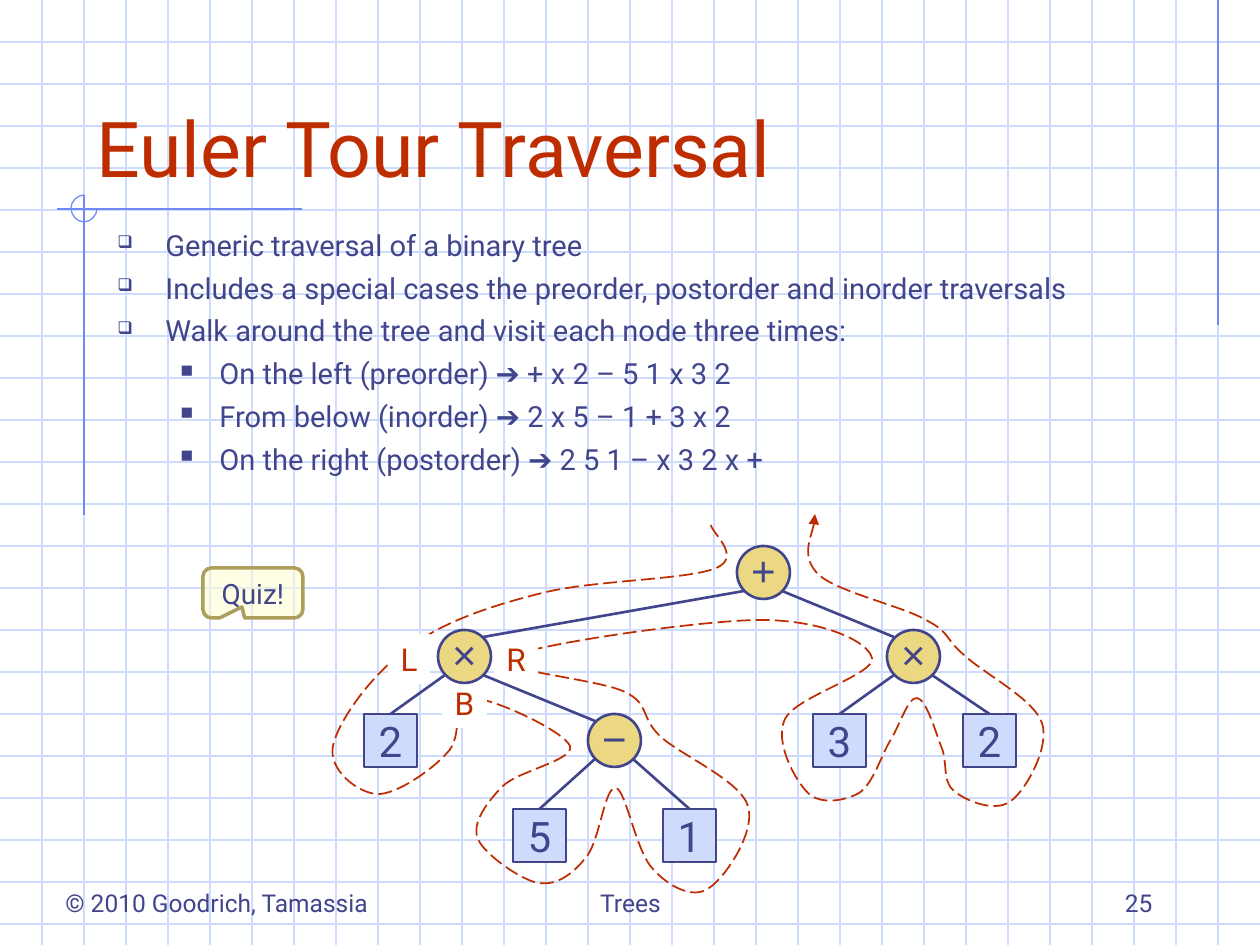
"""Build the Euler tour traversal slide with its expression tree."""
import dataclasses
import typing

import lxml.etree
import pptx
import pptx.dml.color
import pptx.enum.dml
import pptx.enum.shapes
import pptx.enum.text
import pptx.oxml.ns
import pptx.util

EMU_PER_PX = 914400 / 126
WIDTH, HEIGHT, GRID_STEP = 1260, 945, 42
NODE_SIZE, DIAGONAL = 53, 19
ALIGN = pptx.enum.text.PP_ALIGN
ANCHOR = pptx.enum.text.MSO_ANCHOR
SHAPE = pptx.enum.shapes.MSO_SHAPE
Point = tuple[int, int]


@dataclasses.dataclass(frozen=True)
class Theme:
    grid: str = "CFDBFD"
    accent: str = "6F89F7"
    ink: str = "40458C"
    red: str = "BE2D00"
    operator: str = "ECD882"
    quiz: str = "FFFFCC"
    quiz_edge: str = "AD9E5E"
    white: str = "FFFFFF"
    font: str = "Roboto"
    symbol_font: str = "Arial"
    title: float = 44
    body: float = 16.6
    node: float = 24
    visit: float = 18
    callout: float = 16
    footer: float = 14


THEME = Theme()


class Caption(typing.NamedTuple):
    text: str
    box: tuple[int, int, int, int]
    size: float = THEME.footer
    color: str = THEME.ink
    align: ALIGN = ALIGN.LEFT


class Bullet(typing.NamedTuple):
    text: str
    order: str = ""


class TreeNode(typing.NamedTuple):
    text: str
    left: int
    top: int
    leaf: bool = False


ROOT = TreeNode("+", 737, 546)
LEFT_PRODUCT = TreeNode("×", 438, 630)
RIGHT_PRODUCT = TreeNode("×", 887, 630)
DIFFERENCE = TreeNode("−", 588, 714)
TWO = TreeNode("2", 364, 714, True)
FIVE = TreeNode("5", 513, 809, True)
ONE = TreeNode("1", 663, 809, True)
THREE = TreeNode("3", 813, 714, True)
LAST_TWO = TreeNode("2", 963, 714, True)
BACK_NODES = (ROOT, RIGHT_PRODUCT, DIFFERENCE, TWO, FIVE, ONE, THREE, LAST_TWO)
BACK_EDGES = ((ROOT, RIGHT_PRODUCT), (RIGHT_PRODUCT, LAST_TWO), (RIGHT_PRODUCT, THREE),
              (DIFFERENCE, ONE), (DIFFERENCE, FIVE))
FRONT_EDGES = ((ROOT, LEFT_PRODUCT), (LEFT_PRODUCT, TWO), (LEFT_PRODUCT, DIFFERENCE))

CAPTIONS = (
    Caption("Trees", (431, 861, 399, 63), align=ALIGN.CENTER),
    Caption("25", (903, 861, 262, 63), align=ALIGN.RIGHT),
    Caption("Euler Tour Traversal", (84, 42, 1071, 157), THEME.title, THEME.red),
    Caption("© 2010 Goodrich, Tamassia", (53, 861, 346, 63)),
)
BULLETS = (
    Bullet("Generic traversal of a binary tree"),
    Bullet("Includes a special cases the preorder, postorder and inorder traversals"),
    Bullet("Walk around the tree and visit each node three times:"),
    Bullet("On the left (preorder) ", " + x 2 – 5 1 x 3 2"),
    Bullet("From below (inorder) ", " 2 x 5 – 1 + 3 x 2"),
    Bullet("On the right (postorder) ", " 2 5 1 – x 3 2 x +"),
)
VISITS = (("L", (388, 634, 42, 50)), ("B", (442, 678, 45, 50)), ("R", (494, 634, 44, 50)))
ACCENT_LINES = (((1218, 0), (1218, 325)), ((302, 209), (57, 209)), ((84, 195), (84, 515)))
LOOP = ((84, 195), (77, 195), (71, 202), (71, 208), (71, 215), (77, 222), (84, 222),
        (91, 222), (97, 215), (97, 209))
TOUR = (
    (711, 525), (711, 532), (743, 557), (716, 568), (688, 580), (593, 580), (542, 593),
    (490, 606), (442, 622), (407, 649), (372, 674), (338, 721), (333, 746),
    (328, 770), (358, 793), (377, 794), (396, 795), (432, 770), (447, 753),
    (464, 737), (451, 699), (471, 698), (491, 697), (564, 731), (570, 746),
    (575, 760), (518, 771), (503, 786), (488, 801), (471, 823), (478, 839),
    (484, 854), (522, 881), (539, 883), (558, 886), (575, 872), (587, 856),
    (600, 839), (605, 785), (616, 788), (626, 790), (636, 852), (653, 869),
    (668, 886), (693, 900), (709, 888), (725, 878), (756, 832), (748, 806),
    (740, 780), (680, 755), (660, 736), (640, 717), (650, 704), (625, 692),
    (600, 679), (484, 669), (507, 658), (529, 645), (701, 620), (761, 620),
    (822, 620), (868, 641), (872, 658), (876, 674), (795, 697), (785, 719),
    (774, 742), (795, 780), (808, 793), (820, 805), (845, 801), (859, 793),
    (873, 784), (881, 756), (890, 741), (900, 725), (908, 697), (917, 698),
    (926, 699), (935, 730), (941, 746), (948, 761), (942, 782), (954, 791),
    (966, 801), (995, 813), (1011, 801), (1026, 790), (1050, 747), (1042, 723),
    (1034, 699), (983, 673), (964, 655), (944, 638), (951, 633), (926, 620),
    (902, 606), (838, 592), (819, 575), (800, 557), (816, 527), (815, 514),
)


def px(length: int) -> pptx.util.Emu:
    return pptx.util.Emu(round(length * EMU_PER_PX))


def rgb(color: str) -> pptx.dml.color.RGBColor:
    return pptx.dml.color.RGBColor.from_string(color)


def add_xml(parent, tag: str, **attributes: str):
    return lxml.etree.SubElement(parent, pptx.oxml.ns.qn(tag), attributes)


def style_line(line, color: str, width: float) -> None:
    line.color.rgb = rgb(color)
    line.width = pptx.util.Pt(width)


def style_text(paragraph, size: float, color: str, font: str = THEME.font) -> None:
    paragraph.font.size = pptx.util.Pt(size)
    paragraph.font.color.rgb = rgb(color)
    paragraph.font.name = font


def draw_line(slide, start: Point, end: Point, color: str, width: float):
    line = slide.shapes.add_connector(
        pptx.enum.shapes.MSO_CONNECTOR.STRAIGHT, *map(px, start + end))
    style_line(line.line, color, width)
    add_xml(line.element.spPr, "a:effectLst")
    return line


def draw_curve(slide, points: tuple[Point, ...], color: str, width: float):
    builder = slide.shapes.build_freeform(*points[0], scale=EMU_PER_PX)
    builder.add_line_segments(points[1:], close=False)
    curve = builder.convert_to_shape()
    curve.shadow.inherit = False
    curve.fill.background()
    style_line(curve.line, color, width)
    outline = next(curve.element.iter(pptx.oxml.ns.qn("a:path")))
    segments = outline.findall(pptx.oxml.ns.qn("a:lnTo"))
    for first in range(0, len(segments), 3):
        bezier = add_xml(outline, "a:cubicBezTo")
        for segment in segments[first:first + 3]:
            bezier.append(segment[0])
            outline.remove(segment)
    return curve


def draw_label(slide, kind, text: str, box, fill: str, size: float, color: str,
               font: str = THEME.font):
    label = slide.shapes.add_shape(kind, *map(px, box))
    label.shadow.inherit = False
    label.fill.solid()
    label.fill.fore_color.rgb = rgb(fill)
    label.line.fill.background()
    frame = label.text_frame
    frame.text = text
    frame.word_wrap = False
    frame.vertical_anchor = ANCHOR.MIDDLE
    frame.paragraphs[0].alignment = ALIGN.CENTER
    style_text(frame.paragraphs[0], size, color, font)
    return label


def draw_node(slide, node: TreeNode):
    kind, fill, font = ((SHAPE.RECTANGLE, THEME.grid, THEME.font) if node.leaf
                        else (SHAPE.OVAL, THEME.operator, THEME.symbol_font))
    drawn = draw_label(slide, kind, node.text, (node.left, node.top, NODE_SIZE, NODE_SIZE),
                       fill, THEME.node, THEME.ink, font)
    style_line(drawn.line, THEME.ink, 1.5)
    if not node.leaf:
        frame = drawn.text_frame
        frame.margin_left = frame.margin_right = frame.margin_top = 0
        frame.margin_bottom = px(6)
    return drawn


def draw_edge(slide, parent: TreeNode, child: TreeNode, drawn: dict) -> None:
    side = 1 if child.left > parent.left else -1
    half = NODE_SIZE // 2
    start = (parent.left + half + side * DIAGONAL, parent.top + half + DIAGONAL)
    end = ((child.left + half, child.top) if child.leaf else
           (child.left + half - side * DIAGONAL, child.top + half - DIAGONAL))
    edge = draw_line(slide, start, end, THEME.ink, 1.5)
    if child.leaf:
        edge.end_connect(drawn[child], 0)


def draw_caption(slide, caption: Caption) -> None:
    frame = slide.shapes.add_textbox(*map(px, caption.box)).text_frame
    frame.word_wrap = True
    frame.vertical_anchor = ANCHOR.BOTTOM
    frame.text = caption.text
    frame.paragraphs[0].alignment = caption.align
    style_text(frame.paragraphs[0], caption.size, caption.color)


def draw_bullets(slide, bullets: tuple[Bullet, ...]) -> None:
    frame = slide.shapes.add_textbox(*map(px, (105, 221, 1092, 294))).text_frame
    frame.word_wrap = True
    for index, bullet in enumerate(bullets):
        paragraph = frame.add_paragraph() if index else frame.paragraphs[0]
        level, mark, margin, hang = (1, "■", 102, 39) if bullet.order else (0, "❑", 48, 48)
        paragraph.level = level
        properties = paragraph._p.get_or_add_pPr()
        properties.set("marL", str(px(margin)))
        properties.set("indent", str(px(-hang)))
        add_xml(add_xml(properties, "a:buClr"), "a:srgbClr", val=THEME.ink)
        add_xml(properties, "a:buSzPct", val="60000")
        add_xml(properties, "a:buChar", char=mark)
        paragraph.space_before = pptx.util.Pt(4.5)
        style_text(paragraph, THEME.body, THEME.ink)
        paragraph.add_run().text = bullet.text
        if bullet.order:
            arrow = paragraph.add_run()
            arrow.text = "➔"
            arrow.font.name = THEME.symbol_font
            paragraph.add_run().text = bullet.order


def draw_background(slide) -> None:
    for y in range(GRID_STEP, HEIGHT, GRID_STEP):
        draw_line(slide, (0, y), (WIDTH, y), THEME.grid, 0.75)
    for x in range(GRID_STEP, WIDTH, GRID_STEP):
        draw_line(slide, (x, 0), (x, HEIGHT), THEME.grid, 0.75)
    for start, end in ACCENT_LINES:
        draw_line(slide, start, end, THEME.accent, 0.75)
    draw_curve(slide, LOOP, THEME.accent, 0.75)


def draw_tree(slide) -> None:
    drawn = {node: draw_node(slide, node) for node in BACK_NODES}
    for parent, child in BACK_EDGES:
        draw_edge(slide, parent, child, drawn)
    tour = draw_curve(slide, TOUR, THEME.red, 1)
    tour.line.dash_style = pptx.enum.dml.MSO_LINE.LONG_DASH
    add_xml(tour.line._get_or_add_ln(), "a:tailEnd", type="triangle")
    for text, box in VISITS:
        draw_label(slide, SHAPE.RECTANGLE, text, box, THEME.white, THEME.visit, THEME.red)
    for parent, child in FRONT_EDGES:
        draw_edge(slide, parent, child, drawn)
    draw_node(slide, LEFT_PRODUCT)


def draw_quiz(slide) -> None:
    quiz = draw_label(slide, SHAPE.ROUNDED_RECTANGULAR_CALLOUT, "Quiz!", (203, 568, 100, 50),
                      THEME.quiz, THEME.callout, THEME.ink)
    style_line(quiz.line, THEME.quiz_edge, 2)
    for index, value in enumerate((-0.11, 0.28, 0.17)):
        quiz.adjustments[index] = value
    tint = next(quiz.element.spPr.iter(pptx.oxml.ns.qn("a:srgbClr")))
    add_xml(tint, "a:alpha", val="50000")


def main() -> None:
    presentation = pptx.Presentation()
    presentation.slide_width, presentation.slide_height = px(WIDTH), px(HEIGHT)
    slide = presentation.slides.add_slide(presentation.slide_layouts[6])
    draw_background(slide)
    for caption in CAPTIONS:
        draw_caption(slide, caption)
    draw_bullets(slide, BULLETS)
    draw_tree(slide)
    draw_quiz(slide)
    presentation.save("out.pptx")


if __name__ == "__main__":
    main()
